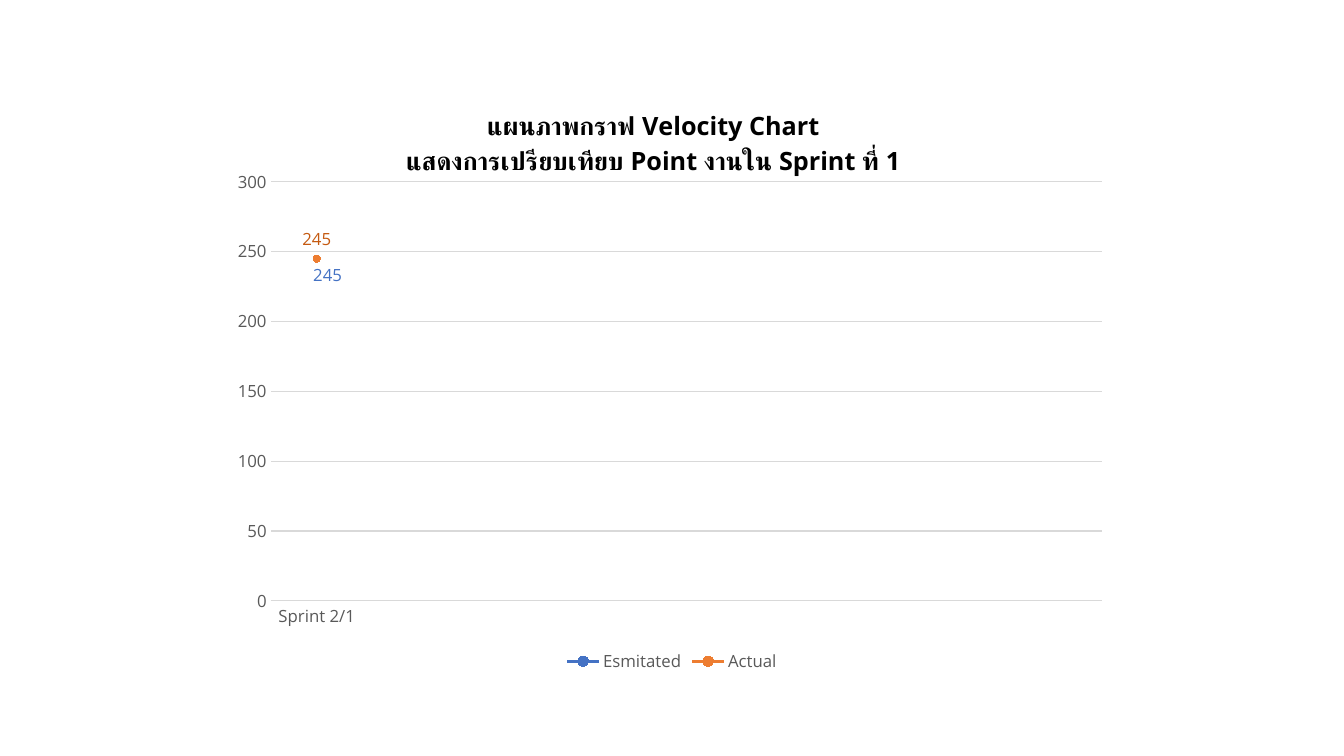
from pptx import Presentation
from pptx.chart.data import CategoryChartData
from pptx.dml.color import RGBColor
from pptx.enum.chart import (XL_CHART_TYPE as ChartType, XL_LABEL_POSITION as LabelPos,
                             XL_LEGEND_POSITION as LegendPos, XL_MARKER_STYLE as Marker,
                             XL_TICK_MARK as Tick)
from pptx.enum.text import MSO_ANCHOR as Anchor, PP_ALIGN as Align
from pptx.oxml import parse_xml
from pptx.oxml.ns import nsdecls, qn
from pptx.util import Inches, Pt

FONT = "Open Sans"
BLACK = RGBColor(0x00, 0x00, 0x00)
GRAY = RGBColor(0x59, 0x59, 0x59)
GRID = RGBColor(0xD9, 0xD9, 0xD9)
BLUE = RGBColor(0x44, 0x72, 0xC4)
ORANGE = RGBColor(0xED, 0x7D, 0x31)
DARK_ORANGE = RGBColor(0xC5, 0x5A, 0x11)

SLIDE_W, SLIDE_H = Inches(13.33), Inches(7.5)
SPRINT_SLOTS = 9
TITLE_LINES = ("แผนภาพกราฟ Velocity Chart",
               "แสดงการเปรียบเทียบ Point งานใน Sprint ที่ 1")


def style_font(font, size, color, bold=False):
    font.name = FONT
    font.size = Pt(size)
    font.color.rgb = color
    font.bold = bold


def style_line(line, color, width):
    line.color.rgb = color
    line.width = Pt(width)


def set_layout(element, inner=False, **shares):
    """Place a chart part by shares of the chart's size."""
    old = element.find(qn("c:layout"))
    index = 0
    if old is not None:
        index = element.index(old)
        element.remove(old)
    target = '<c:layoutTarget val="inner"/>' if inner else ""
    modes = "".join(f'<c:{k}Mode val="edge"/>' for k in "xy")
    sizes = "".join(f'<c:{k} val="{v}"/>' for k, v in shares.items())
    element.insert(index, parse_xml(
        f'<c:layout {nsdecls("c")}><c:manualLayout>{target}{modes}{sizes}'
        '</c:manualLayout></c:layout>'))


def add_title(chart):
    chart.has_title = True
    title = chart.chart_title
    title.include_in_layout = False
    tf = title.text_frame
    tf.text = "\n".join(TITLE_LINES)
    for p in tf.paragraphs:
        p.alignment = Align.CENTER
        for r in p.runs:
            style_font(r.font, 18, BLACK, bold=True)
    set_layout(title._element, x=0.2, y=0.04)


def style_axis(axis):
    axis.major_tick_mark = axis.minor_tick_mark = Tick.NONE
    style_font(axis.tick_labels.font, 12, GRAY)


def style_series(series, color):
    series.smooth = False
    style_line(series.format.line, color, 2.25)
    marker = series.marker
    marker.style, marker.size = Marker.CIRCLE, 5
    marker.format.fill.solid()
    marker.format.fill.fore_color.rgb = color
    style_line(marker.format.line, color, 0.75)


def add_velocity_chart(slide):
    data = CategoryChartData()
    data.categories = ["Sprint 2/1"] + [""] * (SPRINT_SLOTS - 1)
    for name in ("Esmitated", "Actual"):
        data.add_series(name, [245] + [None] * (SPRINT_SLOTS - 1))

    # Chart fills two thirds of the width, centred
    w, h = SLIDE_W * 2 // 3, Inches(5.93)
    chart = slide.shapes.add_chart(ChartType.LINE_MARKERS, (SLIDE_W - w) // 2,
                                   (SLIDE_H - h) // 2, w, h, data).chart
    style_font(chart.font, 10, BLACK)
    add_title(chart)
    set_layout(chart._chartSpace.chart.plotArea, inner=True,
               x=0.052, y=0.172, w=0.928, h=0.701)

    # Axes and gridlines
    sprints, points = chart.category_axis, chart.value_axis
    for axis in (sprints, points):
        style_axis(axis)
    style_line(sprints.format.line, GRID, 0.75)
    points.format.line.fill.background()
    points.minimum_scale, points.maximum_scale, points.major_unit = 0, 300, 50
    points.has_major_gridlines = True
    style_line(points.major_gridlines.format.line, GRID, 0.75)

    # Series and the labels of the actual points
    plot = chart.plots[0]
    plot.vary_by_categories = False
    for series, color in zip(plot.series, (BLUE, ORANGE)):
        style_series(series, color)
    labels = plot.series[1].data_labels
    labels.show_value = True
    labels.position = LabelPos.ABOVE
    style_font(labels.font, 12, DARK_ORANGE)

    # Legend
    chart.has_legend = True
    chart.legend.position = LegendPos.BOTTOM
    chart.legend.include_in_layout = False
    style_font(chart.legend.font, 12, GRAY)


def add_estimate_label(slide):
    box = slide.shapes.add_textbox(Inches(3), Inches(2.59), Inches(0.5), Inches(0.28))
    tf = box.text_frame
    tf.text = "245"
    tf.word_wrap = False
    tf.vertical_anchor = Anchor.MIDDLE
    p = tf.paragraphs[0]
    p.alignment = Align.CENTER
    style_font(p.runs[0].font, 12, BLUE)


def main():
    prs = Presentation()
    prs.slide_width, prs.slide_height = SLIDE_W, SLIDE_H
    slide = prs.slides.add_slide(prs.slide_layouts[6])
    add_velocity_chart(slide)
    add_estimate_label(slide)
    prs.save("out.pptx")


main()
